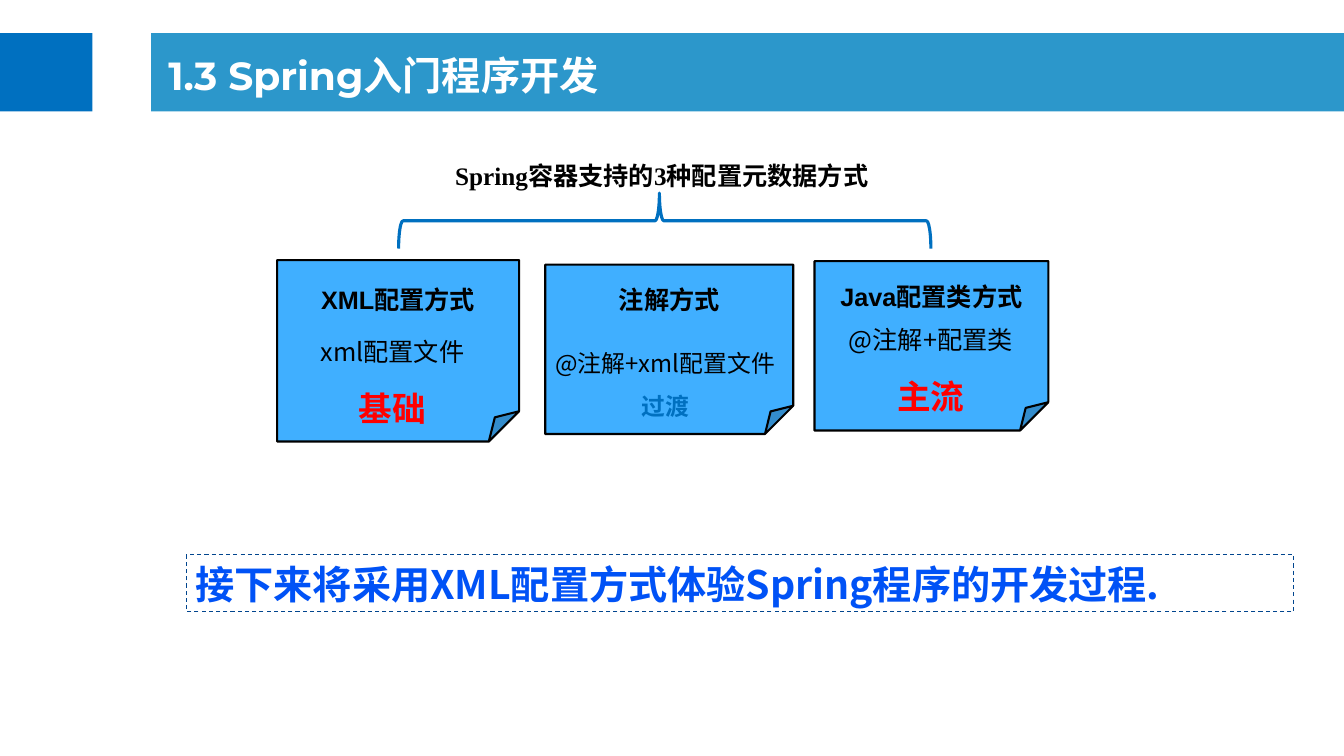
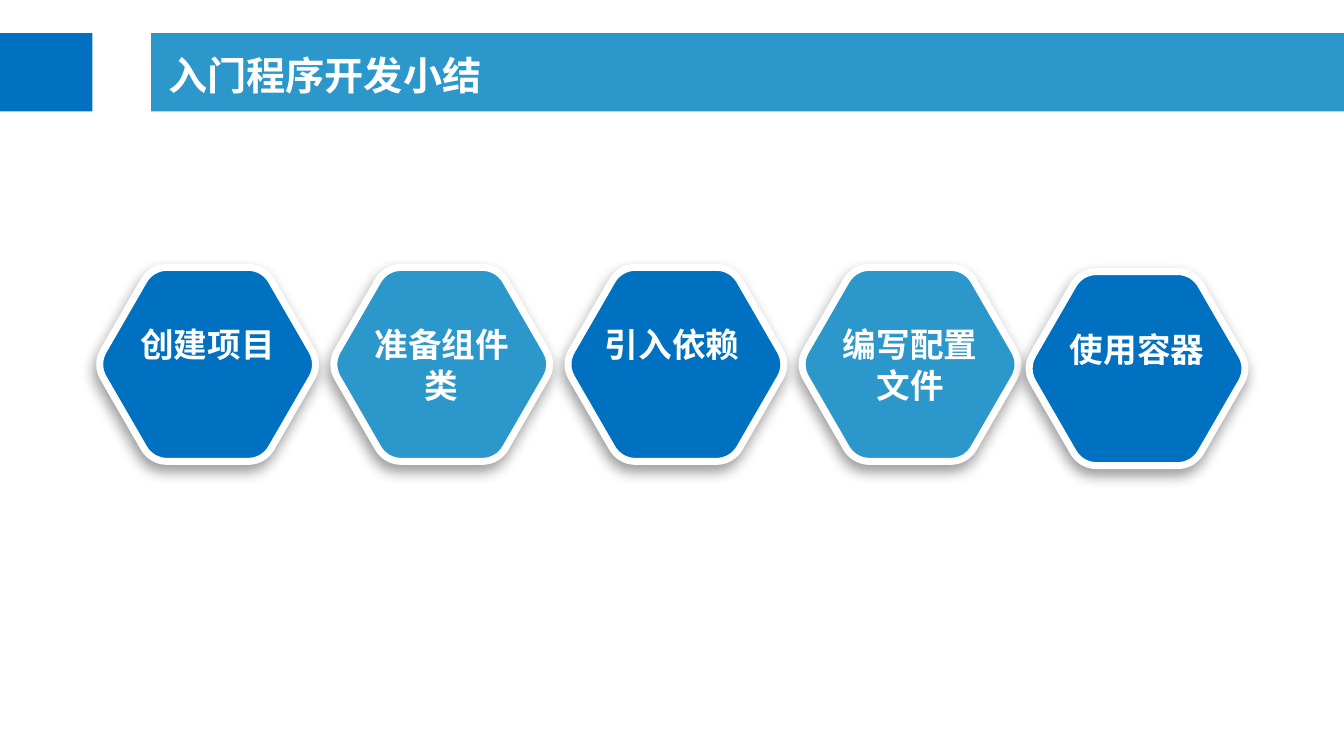
from dataclasses import dataclass
from math import cos, pi, sin

from lxml import etree
from pptx import Presentation
from pptx.dml.color import RGBColor
from pptx.enum.dml import MSO_LINE
from pptx.enum.shapes import MSO_SHAPE
from pptx.enum.text import MSO_ANCHOR, MSO_AUTO_SIZE, PP_ALIGN
from pptx.oxml.ns import qn
from pptx.shapes.autoshape import Shape
from pptx.slide import Slide, SlideLayout
from pptx.util import Pt

LEFT, CENTER, JUSTIFY = PP_ALIGN.LEFT, PP_ALIGN.CENTER, PP_ALIGN.JUSTIFY
TOP, MIDDLE = MSO_ANCHOR.TOP, MSO_ANCHOR.MIDDLE
RECTANGLE, NOTE, BRACE = MSO_SHAPE.RECTANGLE, MSO_SHAPE.FOLDED_CORNER, MSO_SHAPE.RIGHT_BRACE
DASH = MSO_LINE.DASH
NO_AUTOFIT = MSO_AUTO_SIZE.NONE


@dataclass(frozen=True)
class Theme:
    blue: str = "0070C0"
    light_blue: str = "2C97CB"
    note_blue: str = "40AFFF"
    strong_blue: str = "0052F6"
    border_blue: str = "01458E"
    red: str = "FF0000"
    black: str = "000000"
    white: str = "FFFFFF"
    sans: str = "Noto Sans CJK SC"
    title_font: str = "Montserrat"
    heading_font: str = "Arial"
    serif: str = "Times New Roman"
    title_size: float = 28
    large_size: float = 24
    body_size: float = 18
    small_size: float = 17
    line_height: float = 1.22


THEME = Theme()


@dataclass(frozen=True)
class Box:
    left: float
    top: float
    width: float
    height: float


@dataclass(frozen=True)
class Line:
    text: str
    size: float
    color: str
    bold: bool = True
    font: str = THEME.sans
    align: PP_ALIGN = CENTER
    spacing: float = 1


@dataclass(frozen=True)
class ConfigNote:
    heading: str
    box: Box
    heading_inset: float
    body_box: Box
    method: str
    method_size: float
    role: str
    role_size: float
    role_color: str


@dataclass(frozen=True)
class Step:
    text: str
    center_x: float
    center_y: float
    color: str
    align: PP_ALIGN = CENTER


SLIDE = Box(0, 0, 960, 540)
SIDE_BAND = Box(0, 23.6, 66, 56)
TITLE_BAND = Box(108, 23.6, 852, 56)
TITLE = Box(113, 28, 828, 50)

NOTES = [
    ConfigNote("XML配置方式", Box(198, 185.8, 172.8, 129.6), 6, Box(213, 225.4, 134.6, 83.5),
               "xml配置文件", THEME.body_size, "基础", THEME.large_size, THEME.red),
    ConfigNote("注解方式", Box(389.5, 189, 177.1, 121), 3, Box(378, 234.7, 194.4, 65.5),
               "@注解+xml配置文件", THEME.small_size, "过渡", THEME.small_size, THEME.blue),
    ConfigNote("Java配置类方式", Box(581.8, 186.5, 167, 121), 3, Box(588.2, 216.7, 153.4, 83.5),
               "@注解+配置类", THEME.body_size, "主流", THEME.large_size, THEME.red),
]

STEP_X, STEP_Y, STEP_PITCH = 148.3, 260.3, 167.25
STEPS = [
    Step("创建项目", STEP_X, STEP_Y, THEME.blue),
    Step("准备组件类", STEP_X + STEP_PITCH, STEP_Y, THEME.light_blue),
    Step("引入依赖", STEP_X + 2 * STEP_PITCH, STEP_Y, THEME.blue, JUSTIFY),
    Step("编写配置文件", STEP_X + 3 * STEP_PITCH, STEP_Y, THEME.light_blue),
    Step("使用容器", 812.2, 263.3, THEME.blue),
]
HEXAGON_RADIUS, FILLET_RADIUS, ARC_STEPS = 80, 19, 8
STEP_TEXT_WIDTH, STEP_TEXT_HEIGHT, STEP_TEXT_RISE = 101.5, 58.5, 29.2


def rgb(color: str) -> RGBColor:
    return RGBColor.from_string(color)


def place(shape: Shape, box: Box) -> None:
    shape.left, shape.top = Pt(box.left), Pt(box.top)
    shape.width, shape.height = Pt(box.width), Pt(box.height)


def write(shape: Shape, lines: list[Line], anchor: MSO_ANCHOR = TOP,
          inset_x: float = 7.2, inset_y: float = 3.6) -> None:
    """Fill a shape with one paragraph per line, at fixed line heights."""
    frame = shape.text_frame
    frame.text = "\n".join(line.text for line in lines)
    frame.word_wrap = True
    frame.auto_size = NO_AUTOFIT
    frame.vertical_anchor = anchor
    frame.margin_left = frame.margin_right = Pt(inset_x)
    frame.margin_top = frame.margin_bottom = Pt(inset_y)
    for paragraph, line in zip(frame.paragraphs, lines):
        paragraph.alignment = line.align
        paragraph.line_spacing = Pt(line.size * line.spacing * THEME.line_height)
        for span in paragraph.runs:
            span.font.size = Pt(line.size)
            span.font.bold = line.bold
            span.font.name = line.font
            span.font.color.rgb = rgb(line.color)
            east_asian = etree.SubElement(span.font._element, qn("a:ea"))
            east_asian.set("typeface", THEME.sans)


def add_text(page: Slide, box: Box, lines: list[Line], inset_x: float = 7.2,
             inset_y: float = 3.6) -> None:
    text_box = page.shapes.add_textbox(0, 0, 0, 0)
    place(text_box, box)
    write(text_box, lines, inset_x=inset_x, inset_y=inset_y)


def paint(shape: Shape, fill: str | None, line: str | None = None, width: float = 1) -> None:
    shape.shadow.inherit = False
    if fill:
        shape.fill.solid()
        shape.fill.fore_color.rgb = rgb(fill)
    else:
        shape.fill.background()
    if line:
        shape.line.color.rgb = rgb(line)
        shape.line.width = Pt(width)
    else:
        shape.line.fill.background()


def add_shape(page: Slide, kind: MSO_SHAPE, box: Box, fill: str | None,
              line: str | None = None, width: float = 1) -> Shape:
    shape = page.shapes.add_shape(kind, 0, 0, 0, 0)
    place(shape, box)
    paint(shape, fill, line, width)
    return shape


def add_bands(layout: SlideLayout, page: Slide) -> None:
    """Draw the header bands on a page and move them behind the layout's title."""
    for box, color in ((SIDE_BAND, THEME.blue), (TITLE_BAND, THEME.light_blue)):
        band = add_shape(page, RECTANGLE, box, color)
        layout.shapes._spTree.insert(2, band._element)


def set_title(page: Slide, text: str) -> None:
    title = page.shapes.title
    place(title, TITLE)
    write(title, [Line(text, THEME.title_size, THEME.white, font=THEME.title_font, align=LEFT)],
          MIDDLE)


def add_soft_shadow(shape: Shape) -> None:
    effects = shape._element.spPr.find(qn("a:effectLst"))
    shadow = etree.SubElement(effects, qn("a:outerShdw"), blurRad=str(Pt(10)), dist=str(Pt(5)),
                              dir=str(110 * 60000), algn="t", rotWithShape="0")
    color = etree.SubElement(shadow, qn("a:srgbClr"), val=THEME.black)
    etree.SubElement(color, qn("a:alpha"), val="40000")


def hexagon_points(center_x: float, center_y: float) -> list[tuple[int, int]]:
    """Outline of a regular hexagon whose corners are rounded by arcs."""
    arc_distance = HEXAGON_RADIUS - FILLET_RADIUS / cos(pi / 6)
    points = []
    for corner in range(6):
        middle = corner * pi / 3
        for step in range(ARC_STEPS + 1):
            angle = middle + (step / ARC_STEPS - 0.5) * pi / 3
            x = center_x + arc_distance * cos(middle) + FILLET_RADIUS * cos(angle)
            y = center_y + arc_distance * sin(middle) + FILLET_RADIUS * sin(angle)
            points.append((Pt(x), Pt(y)))
    return points


def add_step(page: Slide, step: Step) -> None:
    start, *others = hexagon_points(step.center_x, step.center_y)
    builder = page.shapes.build_freeform(*start)
    builder.add_line_segments(others, close=True)
    hexagon = builder.convert_to_shape()
    paint(hexagon, step.color, THEME.white, 5)
    add_soft_shadow(hexagon)
    box = Box(step.center_x - STEP_TEXT_WIDTH / 2, step.center_y - STEP_TEXT_RISE,
              STEP_TEXT_WIDTH, STEP_TEXT_HEIGHT)
    add_text(page, box, [Line(step.text, THEME.large_size, THEME.white, align=step.align)], 0, 0)


def add_note(page: Slide, note: ConfigNote) -> None:
    card = add_shape(page, NOTE, note.box, THEME.note_blue, THEME.black, 1.5)
    heading = Line(note.heading, THEME.body_size, THEME.black, font=THEME.heading_font, spacing=1.5)
    write(card, [heading], inset_y=note.heading_inset)
    add_text(page, note.body_box, [
        Line(note.method, note.method_size, THEME.black, bold=False, spacing=1.5),
        Line(note.role, note.role_size, note.role_color, spacing=1.5),
    ], inset_x=0)


def build_config_page(page: Slide) -> None:
    set_title(page, "1.3 Spring入门程序开发")
    add_text(page, Box(185.8, 99.4, 573.8, 40.3), [
        Line("Spring容器支持的3种配置元数据方式", THEME.body_size, THEME.black,
             font=THEME.serif, spacing=1.5)])
    brace = add_shape(page, BRACE, Box(455, -32.4, 39.6, 380.2), None, THEME.blue, 2.25)
    brace.rotation = 270
    brace.adjustments[0], brace.adjustments[1] = 0.08, 0.49
    for note in NOTES:
        add_note(page, note)
    conclusion = add_shape(page, RECTANGLE, Box(133.2, 396.4, 791, 40.5), None,
                           THEME.border_blue, 0.75)
    conclusion.line.dash_style = DASH
    write(conclusion, [Line("接下来将采用XML配置方式体验Spring程序的开发过程.", THEME.title_size,
                            THEME.strong_blue, align=LEFT)], inset_x=6.5)


def build_summary_page(page: Slide) -> None:
    set_title(page, "入门程序开发小结")
    for step in STEPS:
        add_step(page, step)


def main() -> None:
    deck = Presentation()
    deck.slide_width, deck.slide_height = Pt(SLIDE.width), Pt(SLIDE.height)
    layout = deck.slide_layouts[5]
    config_page, summary_page = (deck.slides.add_slide(layout) for _ in range(2))
    add_bands(layout, config_page)
    build_config_page(config_page)
    build_summary_page(summary_page)
    deck.save("out.pptx")


if __name__ == "__main__":
    main()
